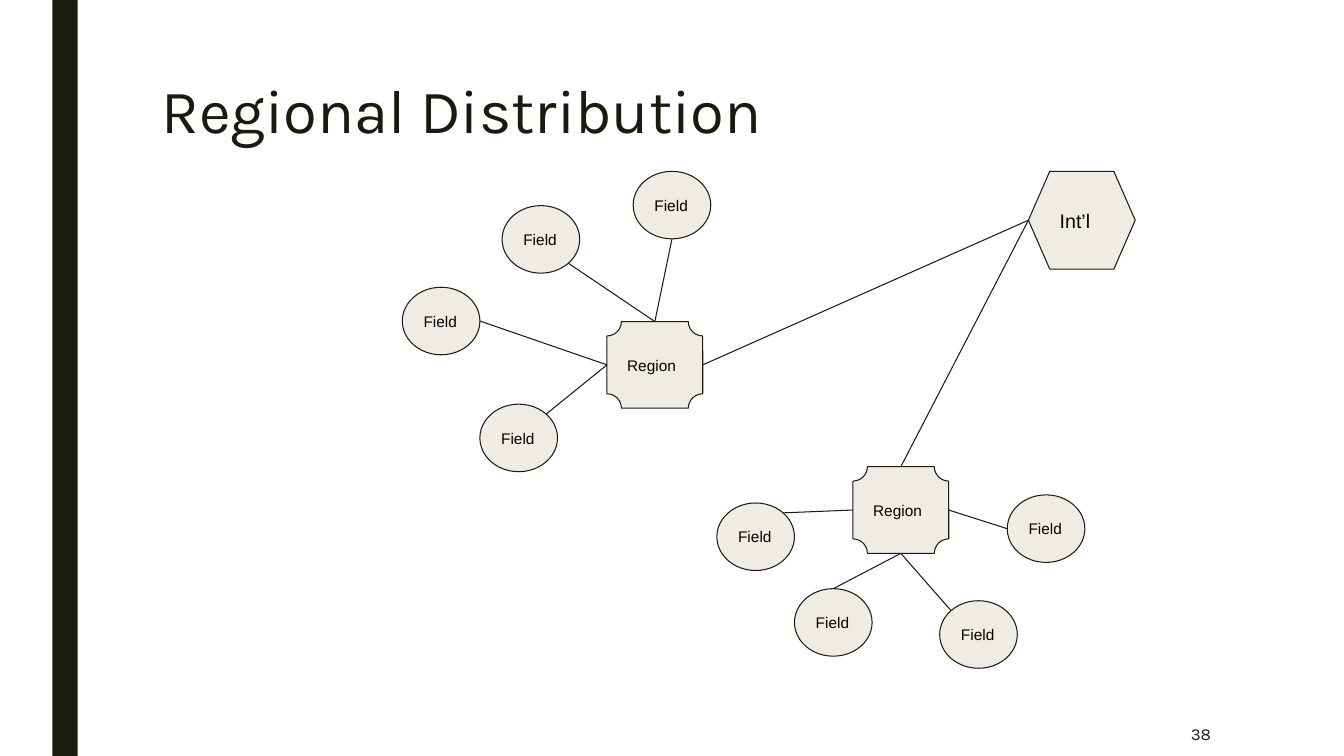
import math
from dataclasses import dataclass

from lxml import etree
from pptx import Presentation
from pptx.dml.color import RGBColor
from pptx.enum.shapes import MSO_CONNECTOR, MSO_SHAPE
from pptx.enum.text import MSO_ANCHOR, MSO_AUTO_SIZE, PP_ALIGN
from pptx.oxml.ns import qn
from pptx.util import Inches, Pt

COLORS = {"ink": "191B0E", "node": "EFEDE3", "label": "000000"}
TITLE_FONT, LABEL_FONT = "Karla", "Arial"
STRAIGHT = MSO_CONNECTOR.STRAIGHT
ELLIPSE, PLAQUE = MSO_SHAPE.OVAL, MSO_SHAPE.PLAQUE
HEXAGON = MSO_SHAPE.FLOWCHART_PREPARATION
LEFT, RIGHT = PP_ALIGN.LEFT, PP_ALIGN.RIGHT
TOP_ANCHOR, MIDDLE = MSO_ANCHOR.TOP, MSO_ANCHOR.MIDDLE
NO_AUTOFIT = MSO_AUTO_SIZE.NONE
TOP, LEFT_SIDE, BOTTOM, RIGHT_SIDE = range(4)


@dataclass(frozen=True)
class NodeStyle:
    label: str
    preset: int
    width: float
    height: float
    size: int


@dataclass(frozen=True)
class Field:
    """A field office; angle is where its link leaves the rim, clockwise from the right."""
    left: float
    top: float
    angle: int
    region_side: int


@dataclass(frozen=True)
class Region:
    left: float
    top: float
    hub_side: int
    fields: tuple[Field, ...]


FIELD = NodeStyle("Field", ELLIPSE, 0.77, 0.67, 11)
REGION = NodeStyle("Region", PLAQUE, 0.95, 0.86, 11)
HUB = NodeStyle("Int’l", HEXAGON, 1.06, 0.97, 14)

REGIONS = (
    Region(6.02, 3.19, RIGHT_SIDE, (
        Field(4.98, 2.04, 45, TOP),
        Field(4.76, 4.01, -45, LEFT_SIDE),
        Field(6.28, 1.7, 90, TOP),
        Field(3.99, 2.85, 0, LEFT_SIDE),
    )),
    Region(8.46, 4.63, TOP, (
        Field(9.99, 4.91, 180, RIGHT_SIDE),
        Field(9.32, 5.96, -135, BOTTOM),
        Field(7.11, 4.99, -45, LEFT_SIDE),
        Field(7.88, 5.84, -90, BOTTOM),
    )),
)


def rgb(name: str) -> RGBColor:
    return RGBColor.from_string(COLORS[name])


def set_text(s, text: str, font: str, size: int, color: str, align=LEFT, anchor=MIDDLE) -> None:
    tf = s.text_frame
    tf.text = text
    tf.word_wrap = True
    tf.auto_size = NO_AUTOFIT
    tf.vertical_anchor = anchor
    p = tf.paragraphs[0]
    p.alignment = align
    r = p.runs[0]
    r.font.name, r.font.size = font, Pt(size)
    r.font.color.rgb = rgb(color)


def add_node(slide, style: NodeStyle, left: float, top: float):
    s = slide.shapes.add_shape(style.preset, Inches(left), Inches(top),
                               Inches(style.width), Inches(style.height))
    s.shadow.inherit = False
    s.fill.solid()
    s.fill.fore_color.rgb = rgb("node")
    s.line.color.rgb = rgb("ink")
    s.line.width = Pt(0.75)
    set_text(s, style.label, LABEL_FONT, style.size, "label")
    tf = s.text_frame
    tf.margin_left = tf.margin_right = tf.margin_top = tf.margin_bottom = Inches(0.1)
    return s


def add_link(slide, x: float, y: float, node, side: int):
    """Draw a line from a point in inches to the middle of a node's side."""
    link = slide.shapes.add_connector(STRAIGHT, Inches(x), Inches(y), Inches(x), Inches(y))
    link.end_connect(node, side)
    link.line.color.rgb = rgb("ink")
    link.line.width = Pt(0.75)
    etree.SubElement(link._element.spPr, qn("a:effectLst"))
    return link


def add_field(slide, field: Field, region) -> None:
    s = add_node(slide, FIELD, field.left, field.top)
    angle = math.radians(field.angle)
    x = field.left + FIELD.width / 2 * (1 + math.cos(angle))
    y = field.top + FIELD.height / 2 * (1 + math.sin(angle))
    link = add_link(slide, x, y, region, field.region_side)
    if field.angle == -90:
        link.begin_connect(s, TOP)


def add_frame(slide) -> None:
    """Add the side bar, the title and the page number."""
    bar = slide.shapes.add_shape(MSO_SHAPE.RECTANGLE, Inches(0.52), 0, Inches(0.25), Inches(7.5))
    bar.shadow.inherit = False
    bar.fill.solid()
    bar.fill.fore_color.rgb = rgb("ink")
    bar.line.fill.background()

    title = slide.shapes.title
    title.left, title.top = Inches(1.5), Inches(0.75)
    title.width, title.height = Inches(10.5), Inches(1.62)
    set_text(title, "Regional Distribution", TITLE_FONT, 44, "ink", anchor=TOP_ANCHOR)
    title.text_frame.paragraphs[0].line_spacing = 0.89

    number = slide.shapes.add_textbox(Inches(10.36), Inches(7.06), Inches(1.75), Inches(0.44))
    set_text(number, "38", TITLE_FONT, 12, "ink", align=RIGHT)


def main() -> None:
    prs = Presentation()
    prs.slide_width, prs.slide_height = Inches(13.33), Inches(7.5)
    slide = prs.slides.add_slide(prs.slide_layouts[5])
    add_frame(slide)
    hub = add_node(slide, HUB, 10.2, 1.7)
    for region in REGIONS:
        s = add_node(slide, REGION, region.left, region.top)
        link = add_link(slide, 0, 0, s, region.hub_side)
        link.begin_connect(hub, LEFT_SIDE)
        for field in region.fields:
            add_field(slide, field, s)
    prs.save("out.pptx")


if __name__ == "__main__":
    main()
